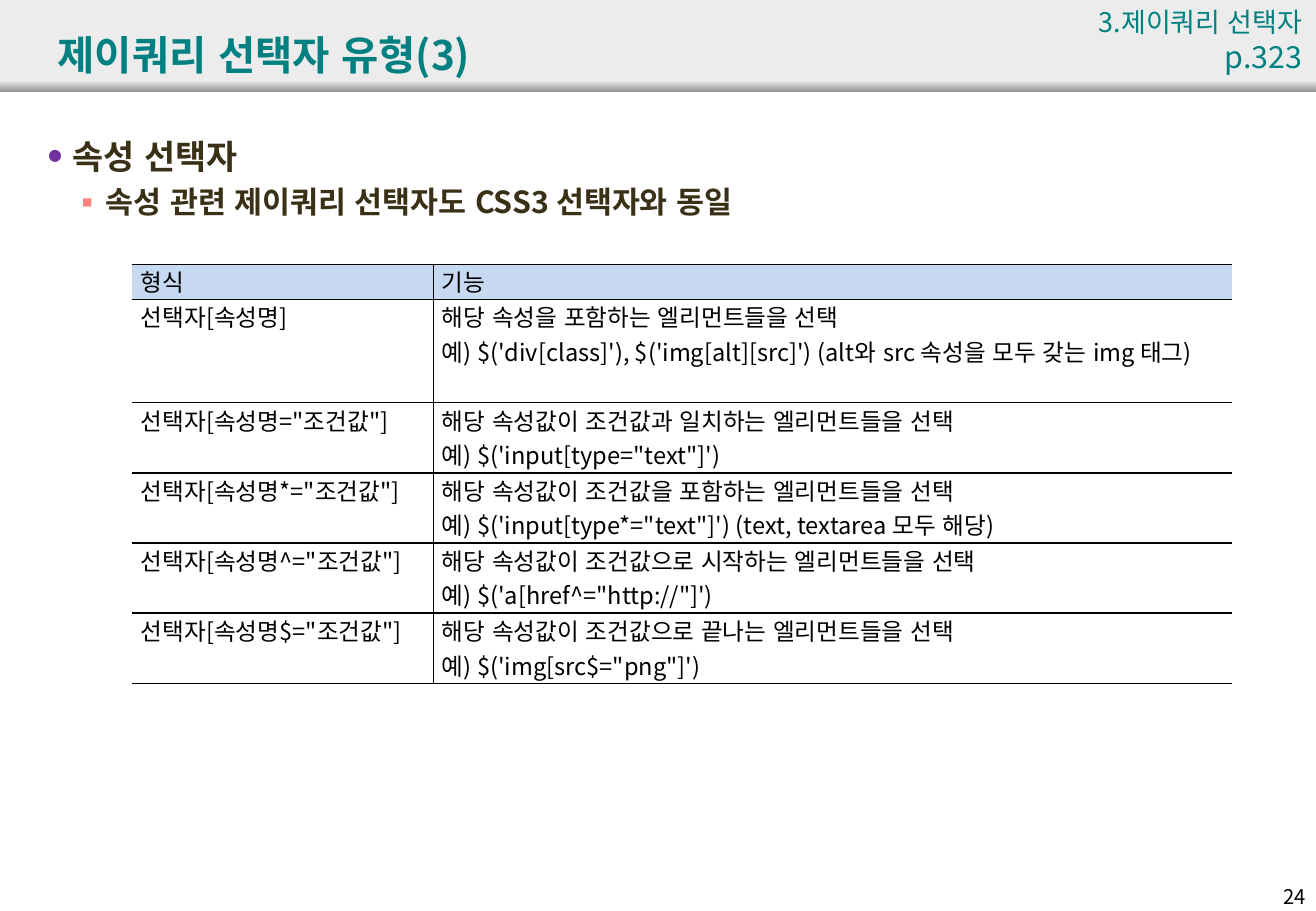
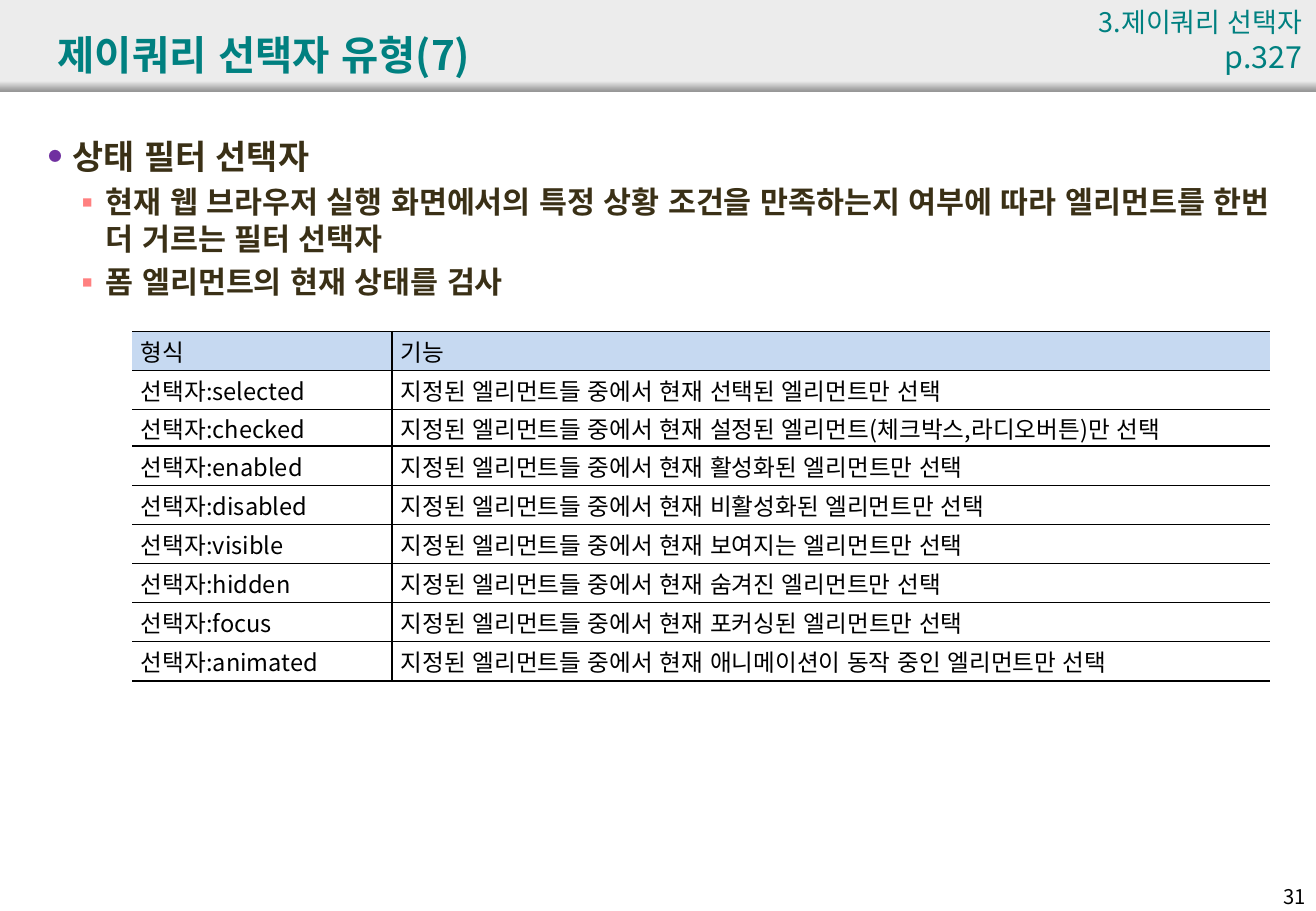
from lxml.etree import SubElement
from pptx import Presentation
from pptx.dml.color import RGBColor
from pptx.enum.lang import MSO_LANGUAGE_ID
from pptx.enum.shapes import MSO_SHAPE
from pptx.enum.text import MSO_ANCHOR, MSO_AUTO_SIZE, PP_ALIGN
from pptx.oxml.ns import qn
from pptx.util import Pt

FONT = "Noto Sans CJK KR"
TEAL = RGBColor(0x00, 0x80, 0x80)
BROWN = RGBColor(0x3A, 0x30, 0x16)
BLACK = RGBColor(0x00, 0x00, 0x00)
PURPLE = RGBColor(0x70, 0x30, 0xA0)
CORAL = RGBColor(0xFF, 0x80, 0x80)
BAND_LIGHT = RGBColor(0xEC, 0xEC, 0xEC)
BAND_DARK = RGBColor(0x97, 0x97, 0x97)
HEADER_BLUE = RGBColor(0xC6, 0xD9, 0xF1)

PAGE_WIDTH, PAGE_HEIGHT = 780, 540
TABLE_LEFT = 78.5
SECTION = "3.제이쿼리 선택자"
TABLE_HEADER = ("형식", "기능")

BULLETS = (
    {"mark": "●", "mark_color": PURPLE, "mark_size": 40, "indent": 14.4, "hang": 14.4, "size": 20},
    {"mark": "▪", "mark_color": CORAL, "mark_size": 100, "indent": 34, "hang": 19.6, "size": 18},
)

SLIDES = [
    {
        "title": "제이쿼리 선택자 유형(3)",
        "reference": "p.323",
        "number": "24",
        "points": [(0, "속성 선택자"), (1, "속성 관련 제이쿼리 선택자도 CSS3 선택자와 동일")],
        "top": 156.7,
        "columns": (178.5, 473),
        "heights": [20.8, 61.2] + [41.6] * 4,
        "anchor": MSO_ANCHOR.TOP,
        "rows": [
            ("선택자[속성명]",
             "해당 속성을 포함하는 엘리먼트들을 선택\n"
             "예) $('div[class]'), $('img[alt][src]') (alt와 src 속성을 모두 갖는 img 태그)"),
            ('선택자[속성명="조건값"]',
             "해당 속성값이 조건값과 일치하는 엘리먼트들을 선택\n"
             "예) $('input[type=\"text\"]')"),
            ('선택자[속성명*="조건값"]',
             "해당 속성값이 조건값을 포함하는 엘리먼트들을 선택\n"
             "예) $('input[type*=\"text\"]') (text, textarea 모두 해당)"),
            ('선택자[속성명^="조건값"]',
             "해당 속성값이 조건값으로 시작하는 엘리먼트들을 선택\n"
             "예) $('a[href^=\"http://\"]')"),
            ('선택자[속성명$="조건값"]',
             "해당 속성값이 조건값으로 끝나는 엘리먼트들을 선택\n"
             "예) $('img[src$=\"png\"]')"),
        ],
    },
    {
        "title": "제이쿼리 선택자 유형(7)",
        "reference": "p.327",
        "number": "31",
        "points": [
            (0, "상태 필터 선택자"),
            (1, "현재 웹 브라우저 실행 화면에서의 특정 상황 조건을 만족하는지 여부에 따라 "
                "엘리먼트를 한번 더 거르는 필터 선택자"),
            (1, "폼 엘리먼트의 현재 상태를 검사"),
        ],
        "top": 196.5,
        "columns": (154, 520.5),
        "heights": [23.2, 23.2, 21.6] + [23.2] * 6,
        "anchor": MSO_ANCHOR.MIDDLE,
        "rows": [
            ("선택자:selected", "지정된 엘리먼트들 중에서 현재 선택된 엘리먼트만 선택"),
            ("선택자:checked", "지정된 엘리먼트들 중에서 현재 설정된 엘리먼트(체크박스,라디오버튼)만 선택"),
            ("선택자:enabled", "지정된 엘리먼트들 중에서 현재 활성화된 엘리먼트만 선택"),
            ("선택자:disabled", "지정된 엘리먼트들 중에서 현재 비활성화된 엘리먼트만 선택"),
            ("선택자:visible", "지정된 엘리먼트들 중에서 현재 보여지는 엘리먼트만 선택"),
            ("선택자:hidden", "지정된 엘리먼트들 중에서 현재 숨겨진 엘리먼트만 선택"),
            ("선택자:focus", "지정된 엘리먼트들 중에서 현재 포커싱된 엘리먼트만 선택"),
            ("선택자:animated", "지정된 엘리먼트들 중에서 현재 애니메이션이 동작 중인 엘리먼트만 선택"),
        ],
    },
]


def write(frame, text, size=14, color=BLACK, bold=False, align=PP_ALIGN.LEFT,
          before=0, bullet=None):
    first = frame.paragraphs[0]
    para = frame.add_paragraph() if first.runs else first
    if bullet:
        add_bullet(para, bullet)
    para.alignment = align
    if before and para is not first:
        para.space_before = Pt(before)
    span = para.add_run()
    span.text = text
    font = span.font
    font.name, font.size, font.bold = FONT, Pt(size), bold
    font.color.rgb = color
    font.language_id = MSO_LANGUAGE_ID.KOREAN
    latin = font._element.find(qn("a:latin"))
    east_asian = latin.makeelement(qn("a:ea"), {"typeface": FONT})
    latin.addnext(east_asian)


def add_bullet(para, bullet):
    properties = para._p.get_or_add_pPr()
    properties.set("marL", str(Pt(bullet["indent"])))
    properties.set("indent", str(Pt(-bullet["hang"])))
    color = SubElement(properties, qn("a:buClr"))
    SubElement(color, qn("a:srgbClr"), val=str(bullet["mark_color"]))
    SubElement(properties, qn("a:buSzPct"), val=str(bullet["mark_size"] * 1000))
    SubElement(properties, qn("a:buFont"), typeface=FONT)
    SubElement(properties, qn("a:buChar"), char=bullet["mark"])


def add_box(page, left, top, width, height, wrap=True):
    box = page.shapes.add_textbox(Pt(left), Pt(top), Pt(width), Pt(height))
    box.text_frame.word_wrap = wrap
    return box.text_frame


def add_bands(page, layout):
    for top, height in ((0, 48), (48, 6)):
        band = page.shapes.add_shape(MSO_SHAPE.RECTANGLE, 0, Pt(top), Pt(PAGE_WIDTH), Pt(height))
        band.shadow.inherit = False
        band.line.fill.background()
        if top:
            band.fill.gradient()
            band.fill.gradient_angle = 270
            for stop, color in zip(band.fill.gradient_stops, (BAND_LIGHT, BAND_DARK)):
                stop.color.rgb = color
        else:
            band.fill.solid()
            band.fill.fore_color.rgb = BAND_LIGHT
        layout.shapes.element.append(band.element)


def set_borders(cell, visible):
    properties = cell._tc.get_or_add_tcPr()
    for index, side in enumerate(("lnL", "lnR", "lnT", "lnB")):
        line = properties.makeelement(qn(f"a:{side}"), {"w": str(Pt(1))})
        properties.insert(index, line)
        if side in visible:
            fill = SubElement(line, qn("a:solidFill"))
            SubElement(fill, qn("a:srgbClr"), val=str(BLACK))
        else:
            SubElement(line, qn("a:noFill"))


def add_grid(page, content):
    rows = [TABLE_HEADER] + content["rows"]
    columns, heights = content["columns"], content["heights"]
    table = page.shapes.add_table(
        len(rows), len(columns), Pt(TABLE_LEFT), Pt(content["top"]),
        Pt(sum(columns)), Pt(sum(heights))).table
    table.first_row = table.horz_banding = False
    for column, width in zip(table.columns, columns):
        column.width = Pt(width)
    for r, (texts, height) in enumerate(zip(rows, heights)):
        table.rows[r].height = Pt(height)
        for c, text in enumerate(texts):
            cell = table.cell(r, c)
            cell.margin_left = cell.margin_right = Pt(5)
            cell.margin_top = cell.margin_bottom = 0
            cell.vertical_anchor = content["anchor"]
            if r == 0:
                cell.fill.solid()
                cell.fill.fore_color.rgb = HEADER_BLUE
            else:
                cell.fill.background()
            set_borders(cell, ("lnT", "lnB", "lnL" if c else "lnR"))
            for line in text.split("\n"):
                write(cell.text_frame, line, align=PP_ALIGN.JUSTIFY)


def build_page(page, content):
    title = page.shapes.title
    title.left, title.top, title.width, title.height = Pt(27), Pt(9.4), Pt(714), Pt(45)
    title.text_frame.auto_size = MSO_AUTO_SIZE.NONE
    title.text_frame.vertical_anchor = MSO_ANCHOR.MIDDLE
    write(title.text_frame, content["title"], size=24, color=TEAL, bold=True)

    body = add_box(page, 21.6, 77, 743, 448)
    for level, text in content["points"]:
        bullet = BULLETS[level]
        write(body, text, size=bullet["size"], color=BROWN, bold=True,
              before=4.2, bullet=bullet)

    add_grid(page, content)

    corner = add_box(page, 640, 0, 139, 46, wrap=False)
    for text, size in ((SECTION, 16), (content["reference"], 18)):
        write(corner, text, size=size, color=TEAL, align=PP_ALIGN.RIGHT)

    number = add_box(page, 742, 520.6, 39, 19.4)
    write(number, content["number"], size=12, align=PP_ALIGN.RIGHT)


def main():
    deck = Presentation()
    deck.slide_width, deck.slide_height = Pt(PAGE_WIDTH), Pt(PAGE_HEIGHT)
    layout = deck.slide_layouts[5]
    pages = [deck.slides.add_slide(layout) for _ in SLIDES]
    add_bands(pages[0], layout)
    for page, content in zip(pages, SLIDES):
        build_page(page, content)
    deck.save("out.pptx")


if __name__ == "__main__":
    main()
